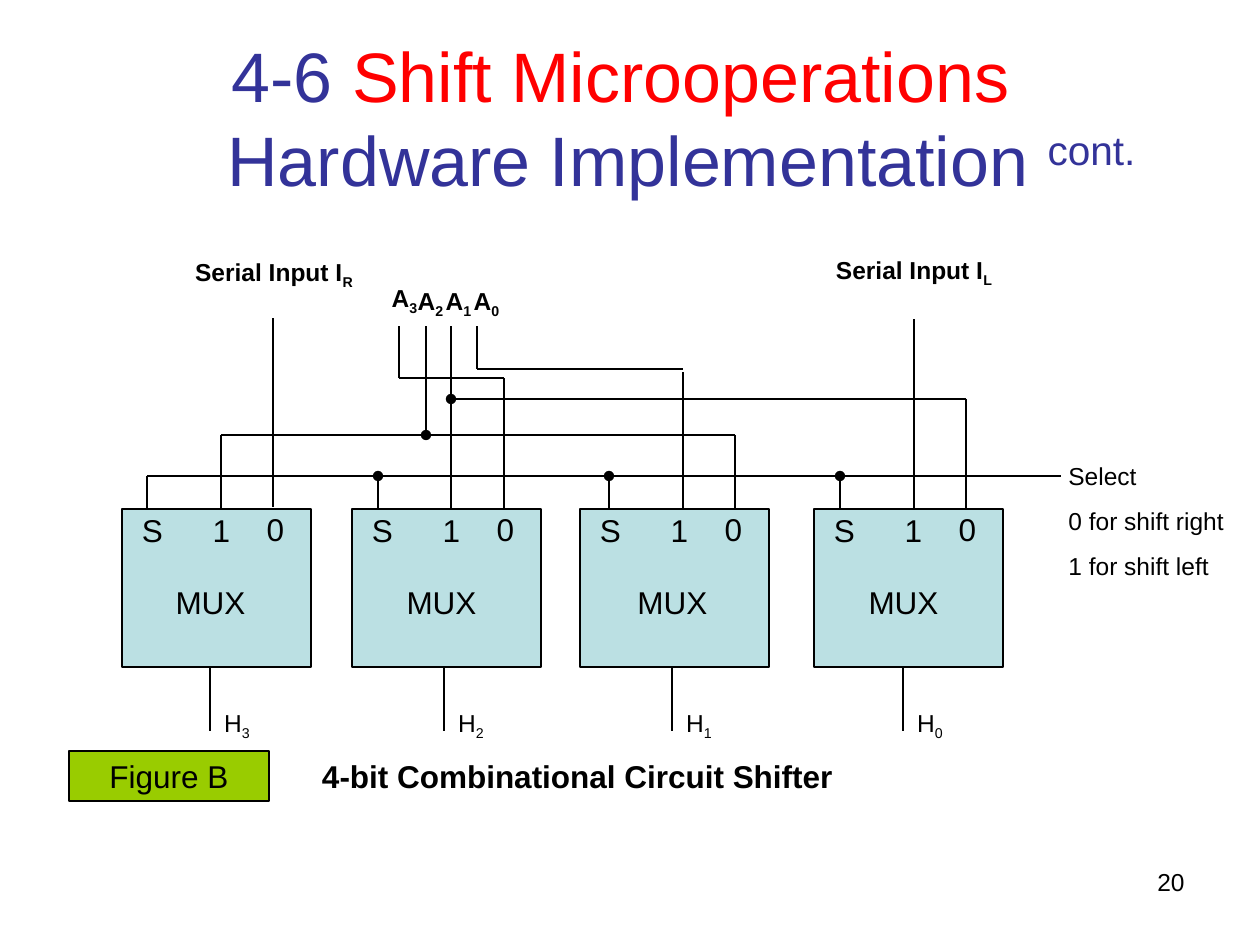
"""Build the slide showing a 4-bit combinational circuit shifter."""
from dataclasses import dataclass

from lxml import etree
from pptx import Presentation
from pptx import util as u
from pptx.dml.color import RGBColor
from pptx.enum import shapes, text
from pptx.oxml import ns

PX = 914400 / 126


@dataclass(frozen=True)
class Theme:
    font: str = "Arial"
    ink: str = "000000"
    paper: str = "FFFFFF"
    title: str = "333399"
    accent: str = "FF0000"
    mux: str = "BBE0E3"
    figure: str = "99CC00"
    title_size: int = 40
    large: int = 18
    small: int = 14
    line: float = 0.75


theme = Theme()


def px(*lengths):
    return [round(length * PX) for length in lengths]


def write(shape, lines, size, bold=False, align=text.PP_ALIGN.CENTER, before=0):
    """Fill a shape with lines of (wording, baseline percent, colour) pieces."""
    frame = shape.text_frame
    frame.word_wrap = True
    for index, pieces in enumerate(lines):
        paragraph = frame.paragraphs[0] if index == 0 else frame.add_paragraph()
        paragraph.alignment = align
        paragraph.space_before = u.Pt(before)
        for wording, baseline, color in pieces:
            if wording == "\v":
                paragraph.add_line_break()
                continue
            run = paragraph.add_run()
            run.text = wording
            run.font.name = theme.font
            run.font.size = u.Pt(size)
            run.font.bold = bold
            run.font.color.rgb = RGBColor.from_string(color)
            if baseline:
                run.font._element.set("baseline", str(baseline * 1000))
    return frame


deck = Presentation()
deck.slide_width, deck.slide_height = px(1260, 945)
slide = deck.slides.add_slide(deck.slide_layouts[5])
canvas = slide.shapes

heading = canvas.title
heading.left, heading.top, heading.width, heading.height = px(63, 38, 1134, 157)
heading_frame = write(heading, [[
    ("4-6 ", 0, theme.title),
    ("Shift Microoperations ", 0, theme.accent),
    ("\v", 0, theme.accent),
    ("Hardware Implementation ", 0, theme.title),
    ("cont.", 30, theme.title),
]], theme.title_size)
heading_frame.auto_size = text.MSO_AUTO_SIZE.NONE
heading_frame.vertical_anchor = text.MSO_ANCHOR.MIDDLE
hanging = px(103)[0]
heading_props = heading_frame.paragraphs[0]._p.get_or_add_pPr()
heading_props.set("marL", str(hanging))
heading_props.set("indent", str(-hanging))

mux_lefts = [122, 352, 580, 814]
output_xs = [210, 444, 672, 903]

figure_box = (69, 751, 200, 50)
mask_box = (388, 305, 94, 21)
mux_boxes = [(left, 509, 189, 158) for left in mux_lefts]

# x1, y1, x2, y2 and whether the far end carries a junction dot
select_wires = [(147, 508, 147, 476, False), (147, 476, 1061, 476, False)]
select_wires += [(x, 508, x, 476, True) for x in (378, 609, 840)]
serial_wires = [(273, 507, 273, 318, False), (914, 508, 914, 319, False)]
a3_wires = [(504, 508, 504, 378, False), (504, 378, 399, 378, False),
            (399, 378, 399, 315, False)]
a2_wires = [(221, 508, 221, 435, False), (221, 435, 735, 435, False),
            (735, 435, 735, 510, False), (426, 309, 426, 435, True)]
a1_wires = [(451, 508, 451, 319, False), (966, 399, 451, 399, True),
            (966, 399, 966, 514, False)]
a0_wires = [(683, 508, 683, 372, False), (683, 369, 477, 369, False),
            (477, 369, 477, 318, False)]
output_wires = [(x, 668, x, 731, False) for x in output_xs]

blocks = [(box, theme.mux, True) for box in mux_boxes]
blocks += [(figure_box, theme.figure, True), (mask_box, theme.paper, False)]
wires = (select_wires + serial_wires + a3_wires + a2_wires + a1_wires
         + a0_wires + output_wires)


def draw_wire(x1, y1, x2, y2, dotted):
    wire = canvas.add_connector(shapes.MSO_CONNECTOR.STRAIGHT, *px(x1, y1, x2, y2))
    wire.line.color.rgb = RGBColor.from_string(theme.ink)
    wire.line.width = u.Pt(theme.line)
    if dotted:
        etree.SubElement(wire.line._get_or_add_ln(), ns.qn("a:tailEnd"), type="oval")
    etree.SubElement(wire._element.spPr, ns.qn("a:effectLst"))


for wire_ends in wires:
    draw_wire(*wire_ends)

for box, fill, outlined in blocks:
    block = canvas.add_shape(shapes.MSO_SHAPE.RECTANGLE, *px(*box))
    block.shadow.inherit = False
    block.fill.solid()
    block.fill.fore_color.rgb = RGBColor.from_string(fill)
    if outlined:
        block.line.color.rgb = RGBColor.from_string(theme.ink)
        block.line.width = u.Pt(theme.line)
    else:
        block.line.fill.background()
    if box == figure_box:
        write(block, [[("Figure B", 0, theme.ink)]], theme.large, before=11.2)

# box, wording, subscript, size, bold
labels = [
    ((189, 751, 777, 50), "4-bit Combinational Circuit Shifter", "", theme.large, True),
    ((169, 251, 210, 47), "Serial Input I", "R", theme.small, True),
    ((809, 249, 210, 47), "Serial Input I", "L", theme.small, True),
]
for bit, (left, top) in zip("3210", [(378, 277), (404, 280), (432, 280), (460, 280)]):
    labels.append(((left, top, 53, 47), "A", bit, theme.small, True))
for index, (left, output_x) in enumerate(zip(mux_lefts, output_xs)):
    for pin, offset, top in (("S", -6, 505), ("1", 57 + 6, 505), ("0", 117, 504)):
        labels.append(((left + offset, top, 73, 50), pin, "", theme.large, False))
    labels.append(((158 + 231 * index, 577, 105, 50), "MUX", "", theme.large, False))
    labels.append(((output_x - 15, 702, 84, 47), "H", str(3 - index), theme.small, False))

for box, wording, subscript, size, bold in labels:
    pieces = [(wording, 0, theme.ink)]
    if subscript:
        pieces.append((subscript, -25, theme.ink))
    label = canvas.add_textbox(*px(*box))
    write(label, [pieces], size, bold, before=size * 0.625)

select_note = canvas.add_textbox(*px(1056, 455, 199, 132))
select_lines = ["Select", "0 for shift right", "1 for shift left"]
write(select_note, [[(line, 0, theme.ink)] for line in select_lines],
      theme.small, align=text.PP_ALIGN.LEFT, before=8.8)

page_number = canvas.add_textbox(*px(903, 861, 294, 66))
write(page_number, [[("20", 0, theme.ink)]], theme.small, align=text.PP_ALIGN.RIGHT)

deck.save("out.pptx")
